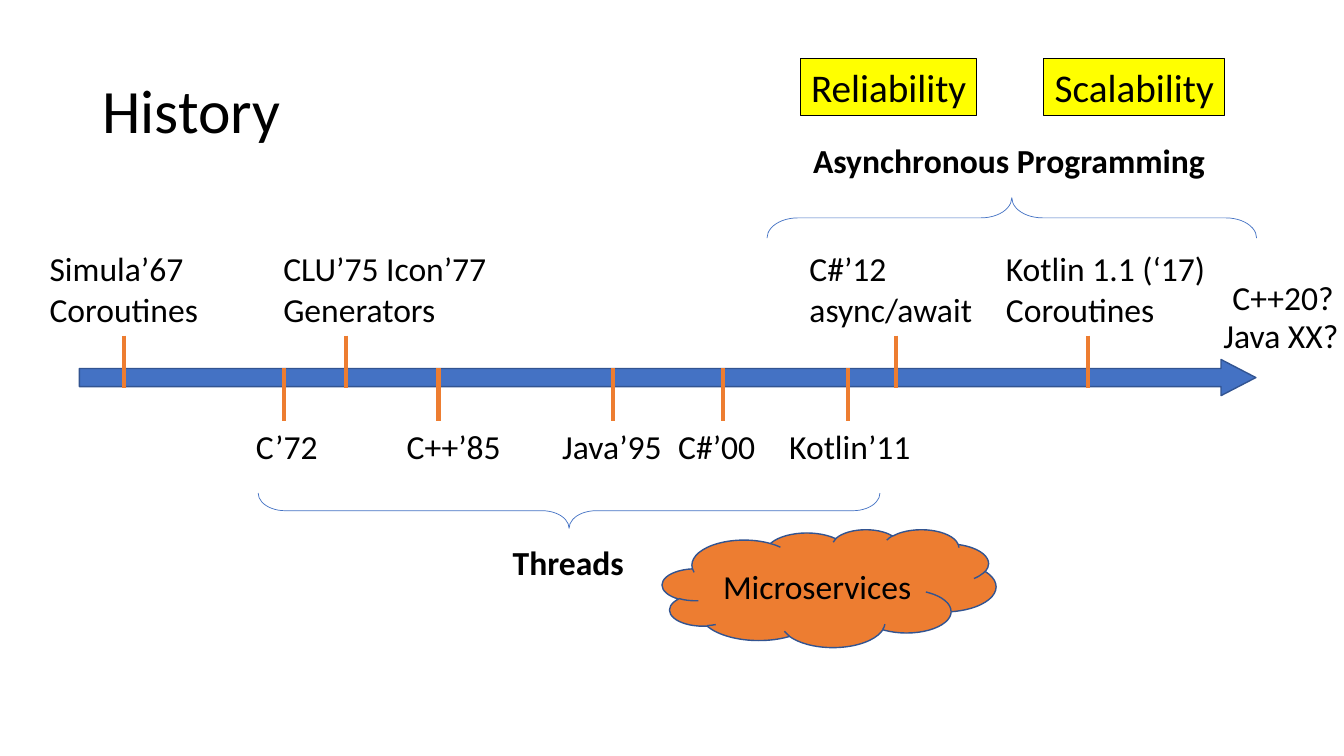
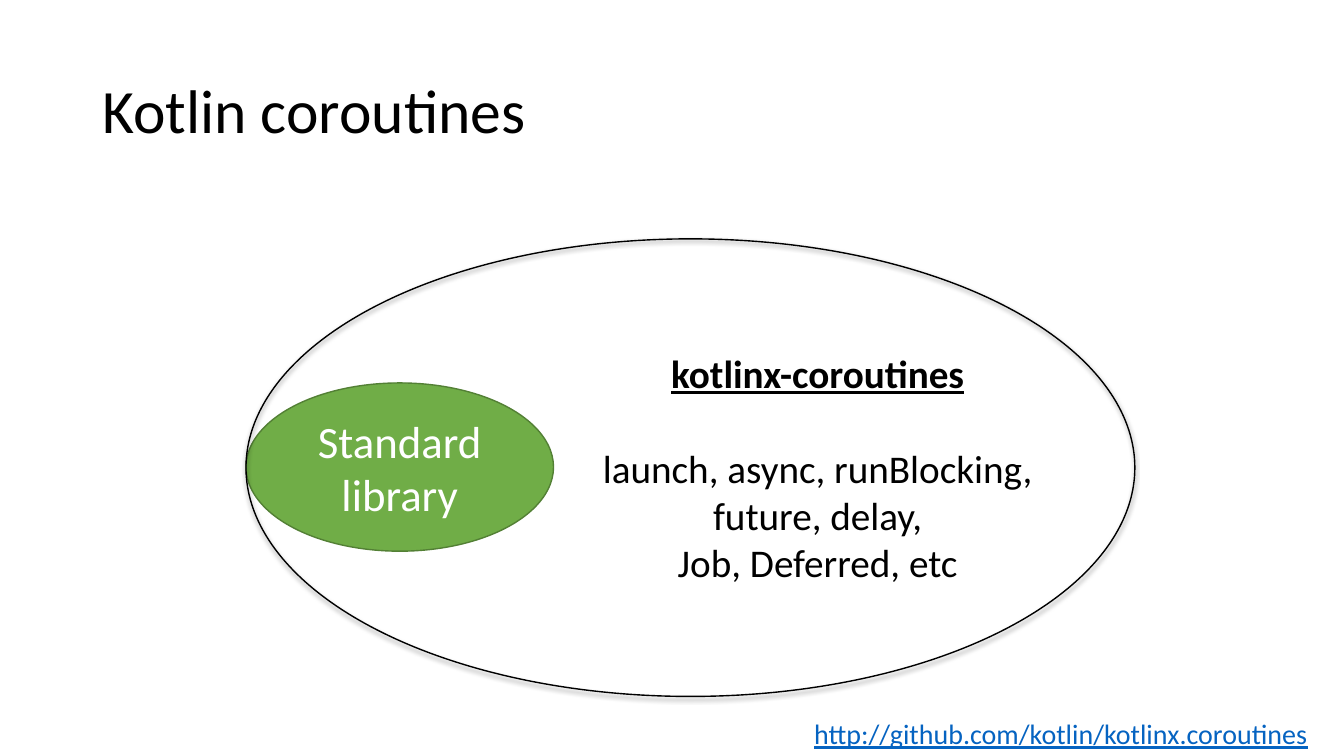
from lxml import etree
from pptx import Presentation
from pptx.dml.color import RGBColor
from pptx.enum import shapes, text
from pptx.oxml import ns
from pptx.util import Cm, Pt

FONT = "Calibri"
COLORS = {
    "ink": "000000", "white": "FFFFFF", "blue": "4472C4", "navy": "325491",
    "orange": "ED7D31", "yellow": "FFFF00", "green": "70AD47",
    "moss": "538035", "link": "0563C1",
}
SHAPE = shapes.MSO_SHAPE
CENTER = text.PP_ALIGN.CENTER

TITLE_BOX = (2.33, 1.01, 29.21, 3.68)
TIMELINE = (2, 9.06, 29.65, 0.91)

# name lines, label left, label width, tick position
ABOVE = [
    (["Simula’67", "Coroutines"], 1, 4.29, 3.13),
    (["CLU’75 Icon’77", "Generators"], 6.89, 5.67, 8.72),
    (["C#’12", "async/await"], 20.15, 4.65, 22.58),
    (["Kotlin 1.1 (‘17)", "Coroutines"], 25.1, 5.76, 27.41),
]
BELOW = [
    (["C’72"], 6.2, 2.09, 7.16),
    (["C++’85"], 10, 2.87, 11.05),
    (["Java’95"], 13.92, 3.05, 15.45),
    (["C#’00"], 16.84, 2.46, 18.23),
    (["Kotlin’11"], 19.64, 3.61, 21.38),
]
# events, label top, label height, tick top
ROWS = [(ABOVE, 6.13, 2.31, 8.46), (BELOW, 10.62, 1.28, 9.28)]
TICK_LENGTH = 1.32

FUTURE = [("C++20?", (30.81, 6.86, 3.1, 1.28)), ("Java XX?", (30.58, 7.82, 3.45, 1.28))]
ERAS = [
    ("Threads", (12.67, 13.54, 3.35, 1.28)),
    ("Asynchronous Programming", (20.24, 3.4, 10.49, 1.28)),
]
# centre x, centre y, span, depth, rotation
BRACES = [(14.34, 12.87, 15.67, 0.89, 90), (25.5, 5.49, 12.34, 1.02, 270)]
GOALS = [("Scalability", (26.31, 1.47, 4.55, 1.45)), ("Reliability", (20.17, 1.47, 4.45, 1.45))]
CLOUD = ("Microservices", (16.69, 13.34, 8.41, 2.97))

CORE = ("Standard library", (6.2, 9.65, 7.75, 4.24))
LIBRARY_OVAL = (6.2, 6.02, 22.4, 11.53)
LIBRARY_BOX = (14.66, 8.64, 11.89, 6.27)
LIBRARY_NAME = "kotlinx-coroutines"
LIBRARY_ITEMS = ["launch, async, runBlocking, future, delay,", "Job, Deferred, etc"]
LINK = ("http://github.com/kotlin/kotlinx.coroutines", (20.27, 17.93, 13.54, 1.12))


def rgb(name):
    return RGBColor.from_string(COLORS[name])


def lengths(at):
    return [Cm(value) for value in at]


def write(box, lines, size, color="ink", align=None, **style):
    frame = box.text_frame
    for index, line in enumerate(lines):
        para = frame.paragraphs[0] if index == 0 else frame.add_paragraph()
        para.alignment = align
        span = para.add_run()
        span.text = line
        span.font.name = FONT
        span.font.size = Pt(size)
        span.font.color.rgb = rgb(color)
        for key, value in style.items():
            setattr(span.font, key, value)


def set_insets(box, inset):
    frame = box.text_frame
    frame.margin_left = frame.margin_right = Cm(inset)
    frame.margin_top = frame.margin_bottom = Cm(inset)


def add_label(page, lines, at, size=24, **style):
    box = page.shapes.add_textbox(*lengths(at))
    box.text_frame.word_wrap = False
    box.text_frame.auto_size = text.MSO_AUTO_SIZE.SHAPE_TO_FIT_TEXT
    write(box, lines, size, **style)


def add_figure(page, kind, at, fill=None, line="ink", weight=1.0):
    figure = page.shapes.add_shape(kind, *lengths(at))
    figure.shadow.inherit = False
    if fill:
        figure.fill.solid()
        figure.fill.fore_color.rgb = rgb(fill)
    else:
        figure.fill.background()
    figure.line.color.rgb = rgb(line)
    figure.line.width = Pt(weight)
    return figure


def add_tick(page, x, top):
    tick = page.shapes.add_connector(
        shapes.MSO_CONNECTOR.STRAIGHT, *lengths((x, top, x, top + TICK_LENGTH)))
    tick.line.color.rgb = rgb("orange")
    tick.line.width = Pt(3)
    etree.SubElement(tick._element.spPr, ns.qn("a:effectLst"))


def add_brace(page, x, y, span, depth, rotation):
    at = (x - depth / 2, y - span / 2, depth, span)
    brace = add_figure(page, SHAPE.RIGHT_BRACE, at, line="blue", weight=0.5)
    brace.adjustments[0] = 0.763
    brace.rotation = rotation


def add_drop_shadow(figure):
    effects = figure._element.spPr.find(ns.qn("a:effectLst"))
    shadow = etree.SubElement(
        effects, ns.qn("a:outerShdw"), blurRad=str(Pt(3)), dist=str(Pt(2)),
        dir="5400000", rotWithShape="0")
    color = etree.SubElement(shadow, ns.qn("a:srgbClr"), val=COLORS["ink"])
    etree.SubElement(color, ns.qn("a:alpha"), val="50000")


def add_page(deck, title):
    page = deck.slides.add_slide(deck.slide_layouts[6])
    box = page.shapes.add_textbox(*lengths(TITLE_BOX))
    box.text_frame.word_wrap = True
    box.text_frame.vertical_anchor = text.MSO_ANCHOR.MIDDLE
    write(box, [title], 44)
    box.text_frame.paragraphs[0].line_spacing = 0.9
    return page


def build_history(deck):
    page = add_page(deck, "History")
    arrow = add_figure(page, SHAPE.RIGHT_ARROW, TIMELINE, "blue", "navy")
    arrow.adjustments[1] = 0.964
    for events, label_top, label_height, tick_top in ROWS:
        for lines, left, width, tick_x in events:
            add_tick(page, tick_x, tick_top)
            add_label(page, lines, (left, label_top, width, label_height))
    for brace in BRACES:
        add_brace(page, *brace)
    for name, at in FUTURE:
        add_label(page, [name], at)
    for name, at in ERAS:
        add_label(page, [name], at, bold=True)
    name, at = CLOUD
    cloud = add_figure(page, SHAPE.CLOUD, at, "orange", "navy")
    write(cloud, [name], 24, align=CENTER)
    for name, at in GOALS:
        goal = add_figure(page, SHAPE.RECTANGLE, at, "yellow", weight=0.75)
        goal.text_frame.word_wrap = False
        write(goal, [name], 28, align=CENTER)


def build_coroutines(deck):
    page = add_page(deck, "Kotlin coroutines")
    name, at = CORE
    core = add_figure(page, SHAPE.OVAL, at, "green", "moss")
    set_insets(core, 0.15)
    write(core, [name], 32, "white", CENTER)
    add_drop_shadow(add_figure(page, SHAPE.OVAL, LIBRARY_OVAL))

    box = page.shapes.add_textbox(*lengths(LIBRARY_BOX))
    frame = box.text_frame
    frame.word_wrap = True
    frame.vertical_anchor = text.MSO_ANCHOR.MIDDLE
    set_insets(box, 0.15)
    write(box, [LIBRARY_NAME] + LIBRARY_ITEMS, 28, align=CENTER)
    heading = frame.paragraphs[0].runs[0].font
    heading.bold = heading.underline = True
    frame.paragraphs[1].space_before = Pt(34)

    address, at = LINK
    add_label(page, [address], at, 20, color="link", underline=True)


def main():
    deck = Presentation()
    deck.slide_width, deck.slide_height = Cm(33.87), Cm(19.05)
    build_history(deck)
    build_coroutines(deck)
    deck.save("out.pptx")


if __name__ == "__main__":
    main()
